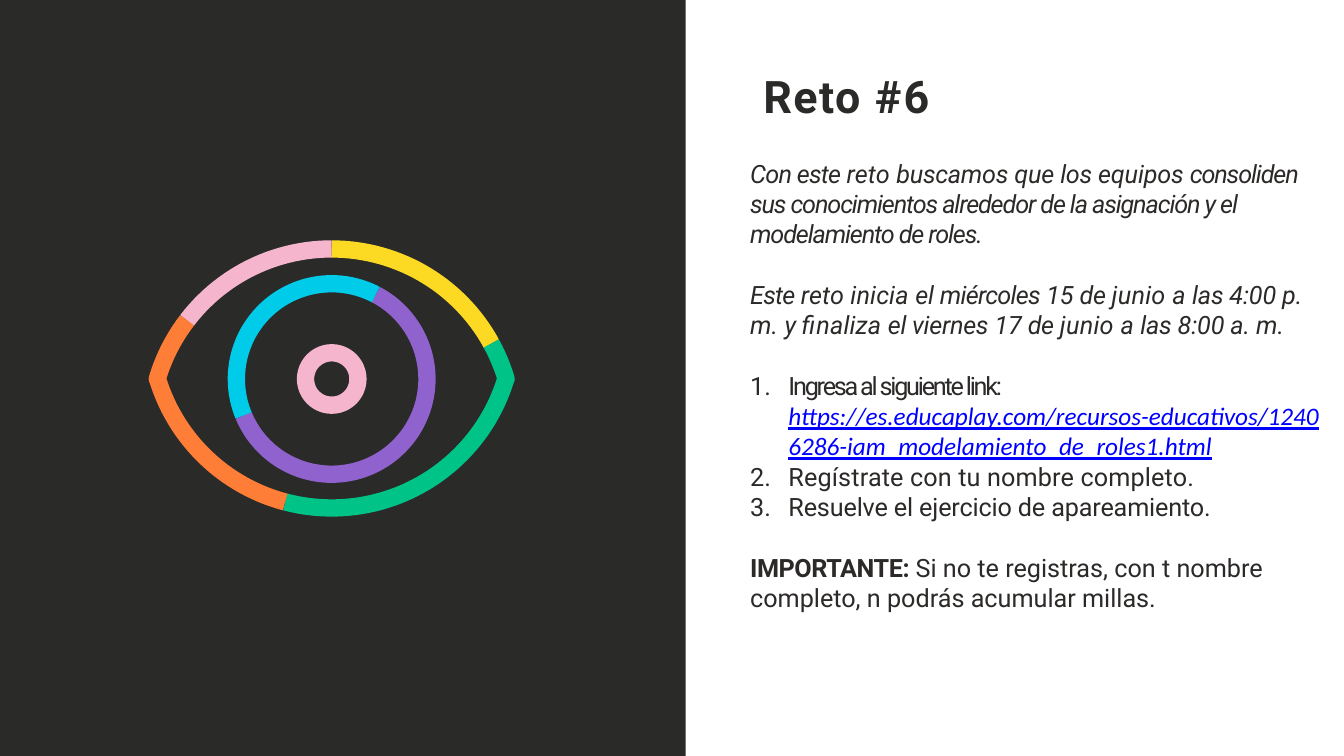
from math import cos, radians, sin

from lxml.etree import SubElement
from pptx import Presentation
from pptx.dml.color import RGBColor
from pptx.enum.shapes import MSO_SHAPE
from pptx.enum.text import MSO_ANCHOR, MSO_AUTO_SIZE, PP_ALIGN
from pptx.oxml.ns import qn
from pptx.util import Inches, Pt

THEME = {
    "panel": "2A2A29", "title": "2A2A29", "text": "2C2A28", "link": "0000FF",
    "purple": "9062CD", "cyan": "00CCEA", "pink": "F5B6CD",
    "yellow": "FCDA23", "green": "00C388", "orange": "FF7E37",
    "font": "Roboto", "link_font": "Calibri",
    "title_size": 32, "body_size": 18, "eye_line": 12.35, "section_gap": 21.7,
}

# Runs are (text, letter spacing in points).
TITLE = [("Reto ", 1.1), ("#6", 1.5)]
GOAL = [
    ("Con este ", -0.5), ("reto ", 0.1), ("buscamos ", -0.2), ("que ", -0.1),
    ("los ", -0.2), ("equipos ", -0.1),
    ("consoliden sus conocimientos alrededor de la asignación y el "
     "modelamiento de roles.", -0.8),
]
DATES = [
    ("Este ", -0.5), ("reto inicia ", 0.1), ("el ", -0.2), ("miércoles ", -0.5),
    ("15 ", -0.1), ("de ", -0.3), ("junio ", 0.2), ("a ", 0.1),
    ("las 4:00 p. ", -0.1), ("m. ", 0.1), ("y ", -0.5), ("finaliza ", 0.1),
    ("el viernes ", -0.2), ("17 ", -0.1), ("de ", -0.3), ("junio ", 0.2),
    ("a ", 0.1), ("las 8:00 a. ", -0.1), ("m.", 0.1),
]
LINK = "https://es.educaplay.com/recursos-educativos/12406286-iam_modelamiento_de_roles1.html"
STEP_LINK = [("Ingresa al siguiente link: ", -1.6), (LINK, 0)]
STEP_REGISTER = [("Regístrate con tu nombre completo.", 0.1)]
STEP_SOLVE = [("Resuelve el ejercicio de apareamiento.", -0.1)]
WARNING_LABEL = "IMPORTANTE: "
WARNING = [
    (WARNING_LABEL, -0.3),
    ("Si no te registras, con t nombre completo, n podrás acumular millas.", 0),
]
# (runs, italic, numbered, opens a section)
BODY = [
    (GOAL, True, False, False),
    (DATES, True, False, True),
    (STEP_LINK, False, True, True),
    (STEP_REGISTER, False, True, False),
    (STEP_SOLVE, False, True, False),
    (WARNING, False, False, True),
]

# Circles are (centre x, centre y, radius); both lids have the same radius.
EYE_X, EYE_Y = 3.29, 3.76
CIRCLES = {
    "iris": (EYE_X, EYE_Y, 0.945),
    "upper lid": (EYE_X, EYE_Y + 0.515, 1.805),
    "lower lid": (EYE_X, EYE_Y - 0.525, 1.805),
}
PUPIL_RADIUS = 0.26
# Each stroke: colour, then arcs (circle, start, end) in clockwise degrees from the right.
EYE_STROKES = [
    ("purple", [("iris", -62.4, 157.5)]),
    ("cyan", [("iris", 157.5, 297.6)]),
    ("pink", [("upper lid", 217.4, 270)]),
    ("yellow", [("upper lid", 270, 331.3)]),
    ("green", [("upper lid", 331.3, 343.4), ("lower lid", 16.8, 104.8)]),
    ("orange", [("lower lid", 104.8, 163.2), ("upper lid", 196.6, 217.4)]),
]


def color(name):
    return RGBColor.from_string(THEME[name])


def arc_points(circle, start, end):
    center_x, center_y, radius = CIRCLES[circle]
    steps = max(2, round((end - start) / 2))
    angles = [radians(start + (end - start) * i / steps) for i in range(steps + 1)]
    return [(Inches(center_x + radius * cos(a)), Inches(center_y + radius * sin(a)))
            for a in angles]


def outline(shape, color_name):
    shape.shadow.inherit = False
    shape.fill.background()
    shape.line.color.rgb = color(color_name)
    shape.line.width = Pt(THEME["eye_line"])


def draw_eye(shapes):
    for color_name, arcs in EYE_STROKES:
        points = [point for arc in arcs for point in arc_points(*arc)]
        builder = shapes.build_freeform(*points[0])
        builder.add_line_segments(points[1:], close=False)
        outline(builder.convert_to_shape(), color_name)
    pupil = shapes.add_shape(
        MSO_SHAPE.OVAL, Inches(EYE_X - PUPIL_RADIUS), Inches(EYE_Y - PUPIL_RADIUS),
        Inches(2 * PUPIL_RADIUS), Inches(2 * PUPIL_RADIUS))
    outline(pupil, "pink")


def prepare_frame(frame):
    settings = {
        "margin_left": 0, "margin_right": 0, "margin_bottom": 0,
        "margin_top": Inches(0.01), "word_wrap": True,
        "auto_size": MSO_AUTO_SIZE.NONE, "vertical_anchor": MSO_ANCHOR.TOP,
    }
    for name, value in settings.items():
        setattr(frame, name, value)


def add_run(paragraph, text, spacing, color_name, **font_values):
    run = paragraph.add_run()
    run.text = text
    for name, value in {"name": THEME["font"], **font_values}.items():
        setattr(run.font, name, value)
    run.font.color.rgb = color(color_name)
    run.font._element.set("spc", str(round(spacing * 100)))


def number(paragraph):
    properties = paragraph._p.get_or_add_pPr()
    properties.set("marL", str(Inches(0.38)))
    properties.set("indent", str(-Inches(0.38)))
    SubElement(properties, qn("a:buFont"), typeface=THEME["font"])
    SubElement(properties, qn("a:buAutoNum"), type="arabicPeriod")


def write_title(title):
    title.left, title.top = Inches(7.57), Inches(0.67)
    title.width, title.height = Inches(3.04), Inches(0.55)
    prepare_frame(title.text_frame)
    paragraph = title.text_frame.paragraphs[0]
    paragraph.alignment = PP_ALIGN.LEFT
    for text, spacing in TITLE:
        add_run(paragraph, text, spacing, "title", size=Pt(THEME["title_size"]), bold=True)


def write_body(shapes):
    frame = shapes.add_textbox(Inches(7.44), Inches(1.56), Inches(5.66), Inches(4.85)).text_frame
    prepare_frame(frame)
    for index, (runs, italic, numbered, opens_section) in enumerate(BODY):
        paragraph = frame.add_paragraph() if index else frame.paragraphs[0]
        paragraph.alignment = PP_ALIGN.LEFT
        paragraph.space_before = Pt(THEME["section_gap"] if opens_section else 0)
        if numbered:
            number(paragraph)
        for text, spacing in runs:
            values = {"size": Pt(THEME["body_size"]), "italic": italic,
                      "bold": text == WARNING_LABEL}
            if text == LINK:
                values.update(name=THEME["link_font"], italic=True, underline=True)
            add_run(paragraph, text, spacing, "link" if text == LINK else "text", **values)


def main():
    presentation = Presentation()
    presentation.slide_width, presentation.slide_height = Inches(13.33), Inches(7.5)
    slide = presentation.slides.add_slide(presentation.slide_layouts[5])
    panel = slide.shapes.add_shape(MSO_SHAPE.RECTANGLE, 0, 0, Inches(6.8), Inches(7.5))
    panel.shadow.inherit = False
    panel.fill.solid()
    panel.fill.fore_color.rgb = color("panel")
    panel.line.fill.background()
    draw_eye(slide.shapes)
    write_title(slide.shapes.title)
    write_body(slide.shapes)
    presentation.save("out.pptx")


if __name__ == "__main__":
    main()
